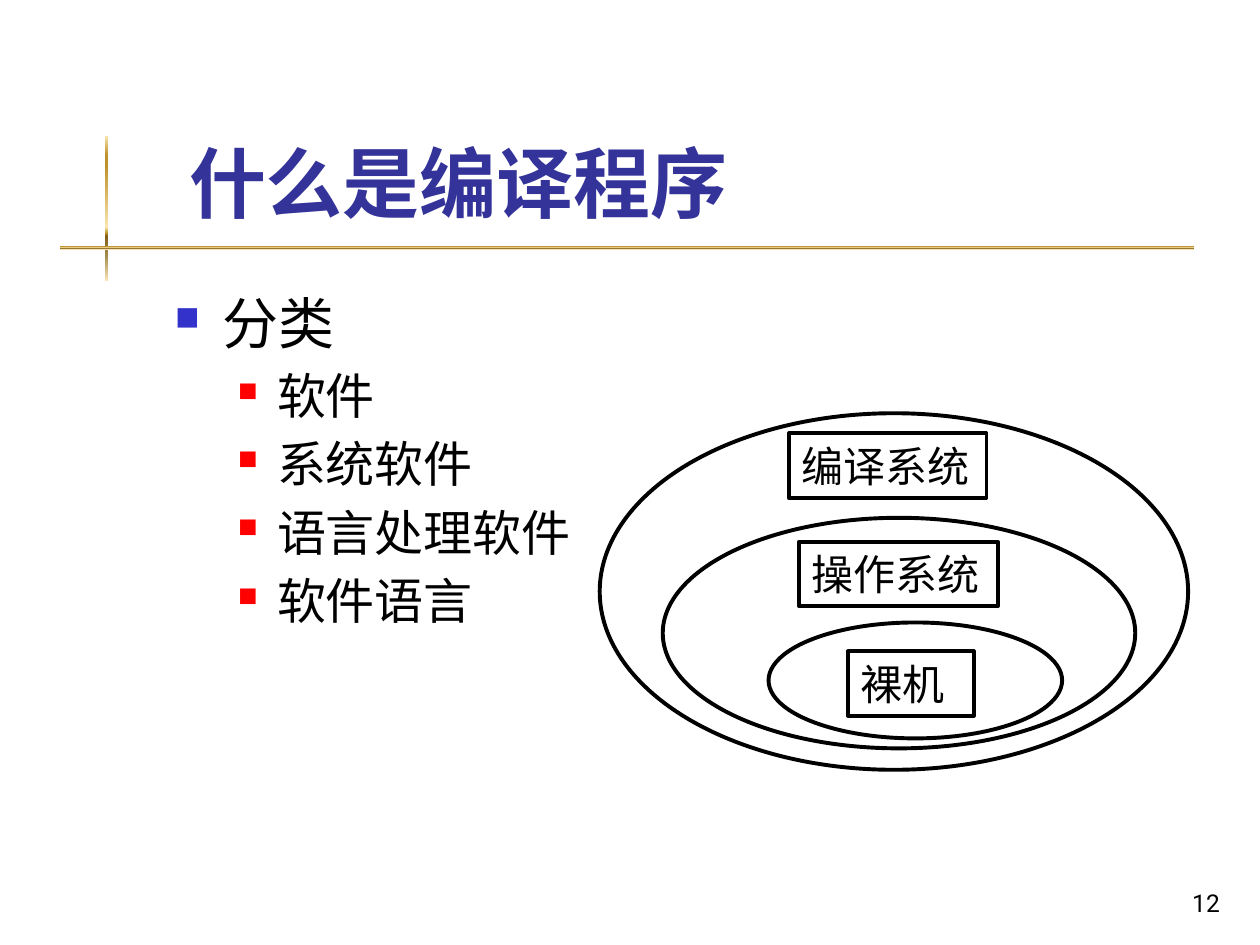
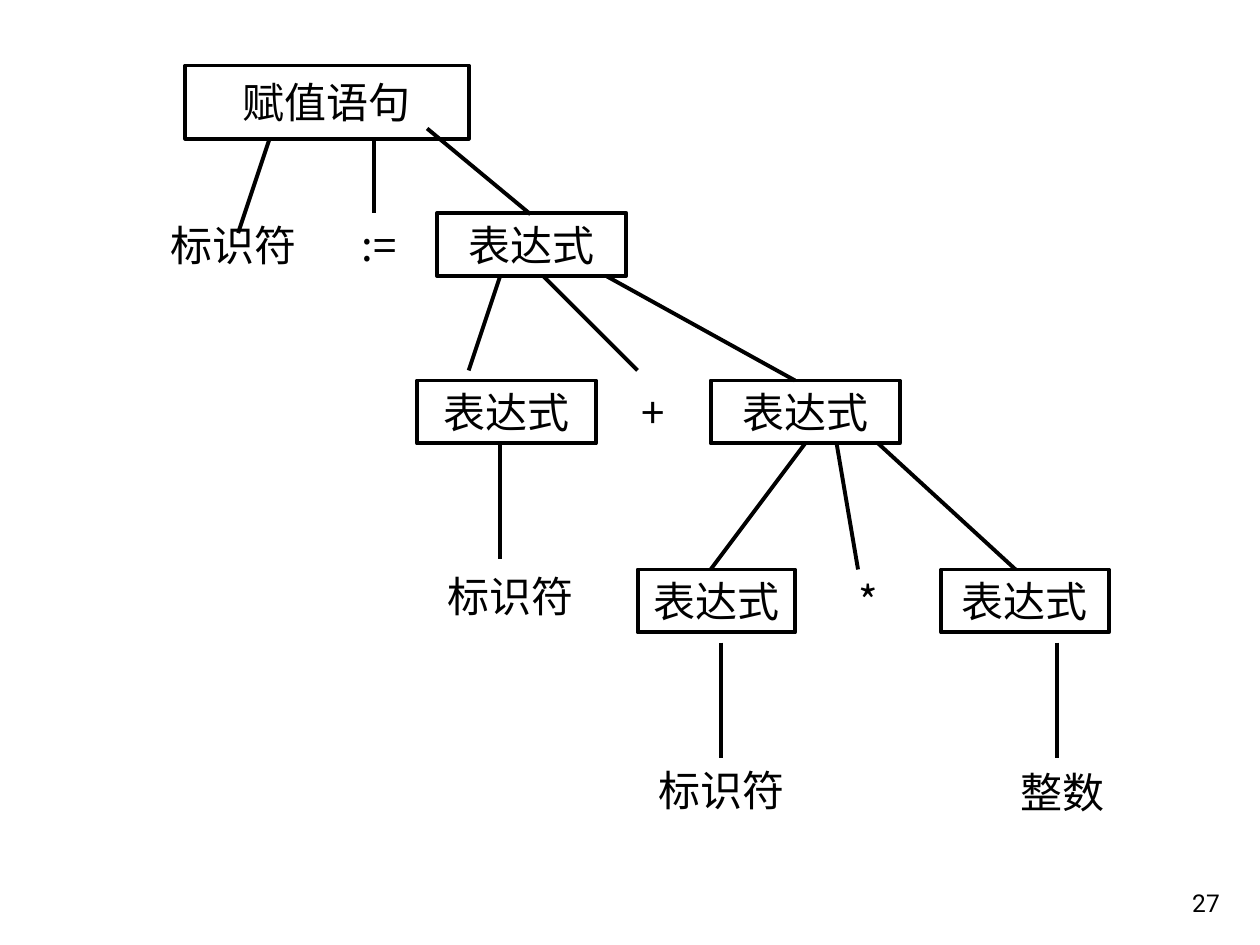
from dataclasses import dataclass

from lxml import etree
from pptx import Presentation
from pptx import util as u
from pptx.dml.color import RGBColor
from pptx.enum import shapes, text
from pptx.oxml import ns

PX = u.Inches(1) // 100
SLIDE_WIDTH, SLIDE_HEIGHT = 1000, 750
TITLE_ONLY, BLANK = 5, 6

BLACK = RGBColor(0x00, 0x00, 0x00)
WHITE = RGBColor(0xFF, 0xFF, 0xFF)
TITLE_BLUE = RGBColor(0x33, 0x33, 0x99)
BULLET_BLUE = RGBColor(0x33, 0x33, 0xCC)
BULLET_RED = RGBColor(0xFF, 0x00, 0x00)
GOLD_STOPS = (
    (0, RGBColor(0xFB, 0xE4, 0xAE)),
    (13, RGBColor(0xBD, 0x92, 0x2A)),
    (21, RGBColor(0xBD, 0x92, 0x2A)),
    (63, RGBColor(0xFB, 0xE4, 0xAE)),
    (67, RGBColor(0xBD, 0x92, 0x2A)),
    (69, RGBColor(0x83, 0x5E, 0x17)),
    (82, RGBColor(0xA2, 0x89, 0x49)),
    (100, RGBColor(0xFA, 0xE3, 0xB7)),
)

CJK_FONT = "Noto Sans CJK JP"
NUMBER_FONT = "Roboto"
OUTLINE = 2.25


@dataclass(frozen=True)
class Box:
    left: int
    top: int
    width: int
    height: int

    def emu(self) -> tuple:
        return tuple(n * PX for n in (self.left, self.top, self.width, self.height))


@dataclass(frozen=True)
class Layer:
    caption: str
    ring: Box
    label: Box


@dataclass(frozen=True)
class Node:
    word: str
    box: Box
    border: RGBColor = BLACK


@dataclass(frozen=True)
class Branch:
    x1: int
    y1: int
    x2: int
    y2: int


@dataclass(frozen=True)
class Level:
    size: int
    line: int
    margin: int
    hanging: int
    bullet_color: RGBColor
    bullet_percent: int


TOPIC = Level(32, 38, 38, 38, BULLET_BLUE, 60)
SUBTOPIC = Level(28, 33, 81, 31, BULLET_RED, 55)
CATEGORIES = (
    ("分类", TOPIC),
    ("软件", SUBTOPIC),
    ("系统软件", SUBTOPIC),
    ("语言处理软件", SUBTOPIC),
    ("软件语言", SUBTOPIC),
)

LAYERS = (
    Layer("编译系统", Box(476, 328, 467, 283), Box(626, 344, 157, 51)),
    Layer("操作系统", Box(526, 411, 375, 183), Box(634, 430, 158, 51)),
    Layer("裸机", Box(610, 494, 233, 92), Box(673, 517, 100, 51)),
)

ROW_2, ROW_3, ROW_4, ROW_5 = 169, 302, 452, 602
ROW_HEIGHT = 50
NODES = (
    Node("赋值语句", Box(147, 52, 225, 58)),
    Node("标识符", Box(114, ROW_2, 142, ROW_HEIGHT), WHITE),
    Node(":=", Box(272, ROW_2, 58, ROW_HEIGHT), WHITE),
    Node("表达式", Box(347, ROW_2, 150, ROW_HEIGHT)),
    Node("表达式", Box(331, ROW_3, 142, ROW_HEIGHT)),
    Node("+", Box(489, ROW_3, 58, ROW_HEIGHT), WHITE),
    Node("表达式", Box(564, ROW_3, 150, ROW_HEIGHT)),
    Node("标识符", Box(339, 444, 133, 58), WHITE),
    Node("表达式", Box(506, ROW_4, 125, ROW_HEIGHT)),
    Node("*", Box(664, ROW_4, 50, ROW_HEIGHT), WHITE),
    Node("表达式", Box(747, ROW_4, 133, ROW_HEIGHT)),
    Node("标识符", Box(506, ROW_5, 133, ROW_HEIGHT), WHITE),
    Node("整数", Box(776, ROW_5 + 1, 134, ROW_HEIGHT), WHITE),
)
BRANCHES = (
    Branch(214, 110, 189, 185),
    Branch(297, 110, 297, ROW_2),
    Branch(339, 102, 421, 170),
    Branch(397, ROW_2 + ROW_HEIGHT, 372, 294),
    Branch(431, ROW_2 + ROW_HEIGHT, 506, 294),
    Branch(481, ROW_2 + ROW_HEIGHT, 631, ROW_3),
    Branch(397, ROW_3 + ROW_HEIGHT, 397, 444),
    Branch(639, ROW_3 + ROW_HEIGHT, 564, ROW_4),
    Branch(664, ROW_3 + ROW_HEIGHT, 681, ROW_4),
    Branch(697, ROW_3 + ROW_HEIGHT, 806, ROW_4),
    Branch(572, 510, 572, ROW_5),
    Branch(839, 510, 839, ROW_5),
)


def write(paragraph, content: str, *, size: int = 24, font: str = CJK_FONT,
          color: RGBColor = BLACK, bold: bool = False,
          align=text.PP_ALIGN.LEFT) -> None:
    paragraph.alignment = align
    run = paragraph.add_run()
    run.text = content
    run.font.size = u.Pt(size)
    run.font.name = font
    run.font.bold = bold
    run.font.color.rgb = color
    east_asian = etree.Element(ns.qn("a:ea"), typeface=font)
    run.font._element.find(ns.qn("a:latin")).addnext(east_asian)


def prepare_frame(frame, anchor, wrap: bool = True) -> None:
    frame.auto_size = text.MSO_AUTO_SIZE.NONE
    frame.vertical_anchor = anchor
    frame.word_wrap = wrap


def add_outlined(slide, kind, box: Box, border: RGBColor = BLACK):
    shape = slide.shapes.add_shape(kind, *box.emu())
    shape.shadow.inherit = False
    shape.fill.solid()
    shape.fill.fore_color.rgb = WHITE
    shape.line.color.rgb = border
    shape.line.width = u.Pt(OUTLINE)
    return shape


def add_label(slide, box: Box, caption: str, *, border: RGBColor = BLACK,
              align=text.PP_ALIGN.LEFT, wrap: bool = True) -> None:
    shape = add_outlined(slide, shapes.MSO_SHAPE.RECTANGLE, box, border)
    prepare_frame(shape.text_frame, text.MSO_ANCHOR.MIDDLE, wrap)
    write(shape.text_frame.paragraphs[0], caption, align=align)


def add_gold_bar(slide, box: Box) -> None:
    bar = slide.shapes.add_shape(shapes.MSO_SHAPE.RECTANGLE, *box.emu())
    bar.shadow.inherit = False
    bar.line.fill.background()
    bar.fill.gradient()
    bar.fill.gradient_angle = 270
    stops = bar._element.spPr.find(".//" + ns.qn("a:gsLst"))
    for stop in list(stops):
        stops.remove(stop)
    for percent, color in GOLD_STOPS:
        stop = etree.SubElement(stops, ns.qn("a:gs"), pos=str(percent * 1000))
        etree.SubElement(stop, ns.qn("a:srgbClr"), val=str(color))


def add_title(slide, content: str) -> None:
    title = slide.shapes.title
    title.left, title.top, title.width, title.height = Box(140, 26, 838, 160).emu()
    prepare_frame(title.text_frame, text.MSO_ANCHOR.BOTTOM)
    write(title.text_frame.paragraphs[0], content, size=44, color=TITLE_BLUE, bold=True)


def add_slide_number(slide, number: int) -> None:
    frame = slide.shapes.add_textbox(*Box(770, 683, 208, 50).emu()).text_frame
    prepare_frame(frame, text.MSO_ANCHOR.BOTTOM)
    write(frame.paragraphs[0], str(number), size=14, font=NUMBER_FONT,
          align=text.PP_ALIGN.RIGHT)


def set_bullet(paragraph, level: Level) -> None:
    properties = paragraph._p.get_or_add_pPr()
    properties.set("marL", str(level.margin * PX))
    properties.set("indent", str(-level.hanging * PX))
    color = etree.SubElement(properties, ns.qn("a:buClr"))
    etree.SubElement(color, ns.qn("a:srgbClr"), val=str(level.bullet_color))
    etree.SubElement(properties, ns.qn("a:buSzPct"), val=str(level.bullet_percent * 1000))
    etree.SubElement(properties, ns.qn("a:buChar"), char="■")


def add_categories(slide) -> None:
    frame = slide.shapes.add_textbox(*Box(129, 225, 342, 320).emu()).text_frame
    prepare_frame(frame, text.MSO_ANCHOR.TOP)
    for index, (category, level) in enumerate(CATEGORIES):
        paragraph = frame.add_paragraph() if index else frame.paragraphs[0]
        set_bullet(paragraph, level)
        paragraph.level = 0 if level is TOPIC else 1
        paragraph.line_spacing = u.Pt(level.line)
        paragraph.space_before = u.Pt(6 if index else 0)
        write(paragraph, category, size=level.size)


def add_branch(slide, branch: Branch) -> None:
    ends = (n * PX for n in (branch.x1, branch.y1, branch.x2, branch.y2))
    line = slide.shapes.add_connector(shapes.MSO_CONNECTOR.STRAIGHT, *ends)
    line.line.color.rgb = BLACK
    line.line.width = u.Pt(OUTLINE)
    etree.SubElement(line._element.spPr, ns.qn("a:effectLst"))


def build_compiler_slide(deck) -> None:
    slide = deck.slides.add_slide(deck.slide_layouts[TITLE_ONLY])
    add_gold_bar(slide, Box(83, 108, 3, 115))
    add_gold_bar(slide, Box(48, 195, 900, 3))
    add_title(slide, "什么是编译程序")
    add_categories(slide)
    for layer in LAYERS:
        add_outlined(slide, shapes.MSO_SHAPE.OVAL, layer.ring)
    for layer in LAYERS:
        add_label(slide, layer.label, layer.caption)
    add_slide_number(slide, 12)


def build_syntax_tree_slide(deck) -> None:
    slide = deck.slides.add_slide(deck.slide_layouts[BLANK])
    for node in NODES:
        add_label(slide, node.box, node.word, border=node.border,
                  align=text.PP_ALIGN.CENTER, wrap=False)
    for branch in BRANCHES:
        add_branch(slide, branch)
    add_slide_number(slide, 27)


def main() -> None:
    deck = Presentation()
    deck.slide_width = SLIDE_WIDTH * PX
    deck.slide_height = SLIDE_HEIGHT * PX
    build_compiler_slide(deck)
    build_syntax_tree_slide(deck)
    deck.save("out.pptx")


if __name__ == "__main__":
    main()
